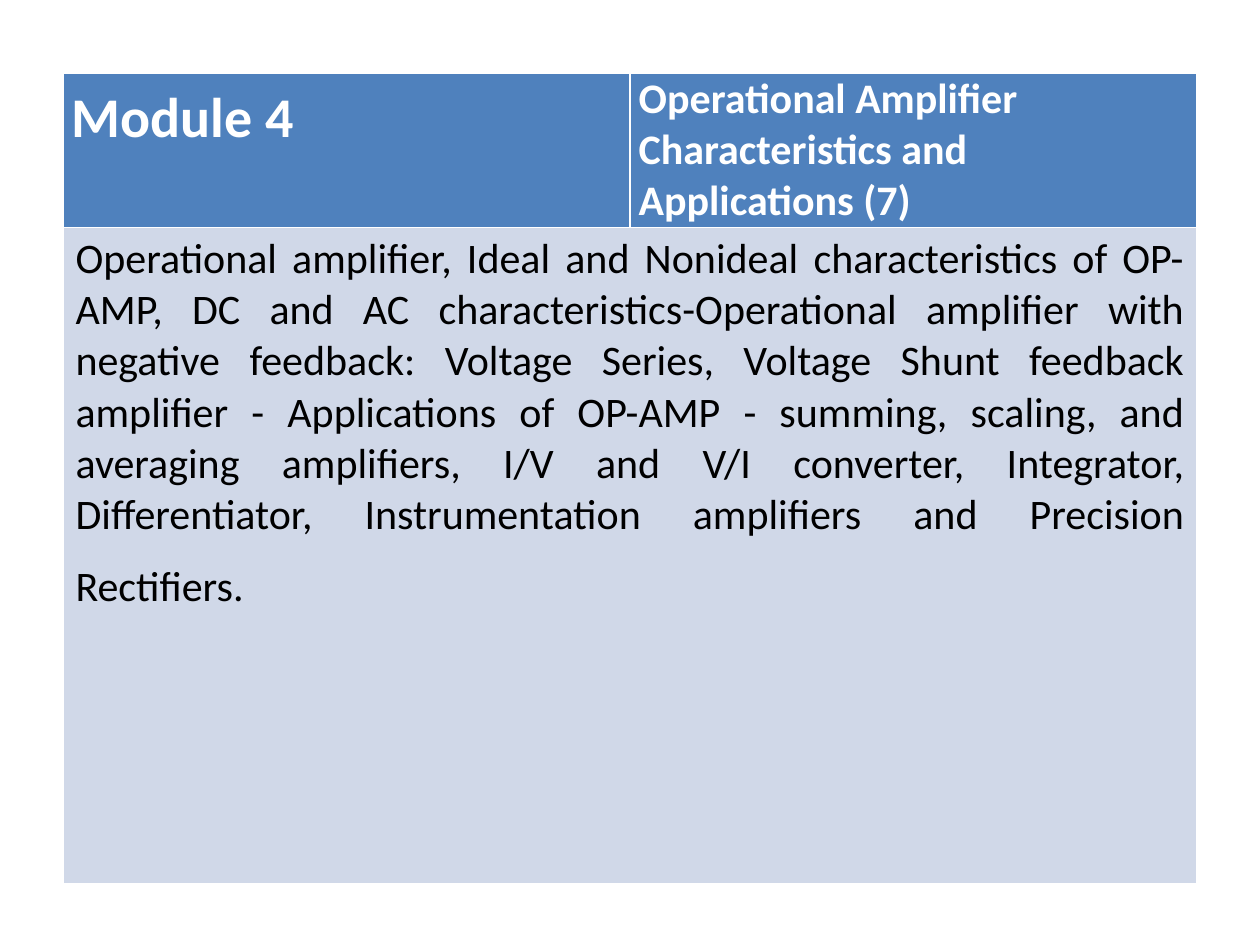
from dataclasses import dataclass

from pptx import Presentation
from pptx.dml.color import RGBColor
from pptx.enum.text import PP_ALIGN as Align
from pptx.oxml import parse_xml
from pptx.oxml.ns import nsdecls
from pptx.util import Pt


@dataclass(frozen=True)
class Theme:
    font: str = "Calibri"
    header: str = "4F81BD"
    body: str = "D0D8E8"
    white: str = "FFFFFF"
    black: str = "000000"
    title_size: int = 32
    text_size: int = 24
    closing_size: int = 36
    border: int = 1


THEME = Theme()
SYLLABUS = (
    "Operational amplifier, Ideal and Nonideal characteristics of OP-AMP, "
    "DC and AC characteristics-Operational amplifier with negative feedback: "
    "Voltage Series, Voltage Shunt feedback amplifier - Applications of OP-AMP - "
    "summing, scaling, and averaging amplifiers, I/V and V/I converter, Integrator, "
    "Differentiator, Instrumentation amplifiers and Precision Rectifiers."
)
HEADER_MARGINS = {
    "margin_left": Pt(5),
    "margin_right": Pt(5),
    "margin_top": 0,
    "margin_bottom": 0,
}


def set_attributes(target, values):
    for name, value in values.items():
        setattr(target, name, value)


def add_borders(cell):
    properties = cell._tc.get_or_add_tcPr()
    for side in ("lnL", "lnR", "lnT", "lnB"):
        properties.append(parse_xml(
            f'<a:{side} {nsdecls("a")} w="{Pt(THEME.border)}"><a:solidFill>'
            f'<a:srgbClr val="{THEME.white}"/></a:solidFill></a:{side}>'
        ))


def fill_cell(cell, runs, fill, color, bold, margins, paragraph_format):
    add_borders(cell)
    cell.fill.solid()
    cell.fill.fore_color.rgb = RGBColor.from_string(fill)
    set_attributes(cell, margins)
    paragraph = cell.text_frame.paragraphs[0]
    set_attributes(paragraph, paragraph_format)
    for text, size in runs:
        run = paragraph.add_run()
        run.text = text
        set_attributes(run.font, {"name": THEME.font, "size": Pt(size), "bold": bold})
        run.font.color.rgb = RGBColor.from_string(color)


def add_module_table(slide, left, top, width, header_height, body_height):
    frame = slide.shapes.add_table(
        2, 2, Pt(left), Pt(top), Pt(width), Pt(header_height + body_height)
    )
    table = frame.table
    for row, height in zip(table.rows, (header_height, body_height)):
        row.height = Pt(height)
    table.cell(1, 0).merge(table.cell(1, 1))

    headings = (
        ("Module 4", THEME.title_size, {"line_spacing": 1.15}),
        ("Operational Amplifier Characteristics and Applications (7)",
         THEME.text_size, {}),
    )
    for column, (text, size, paragraph_format) in enumerate(headings):
        fill_cell(table.cell(0, column), [(text, size)], THEME.header,
                  THEME.white, True, HEADER_MARGINS, paragraph_format)
    fill_cell(table.cell(1, 0),
              [(SYLLABUS, THEME.text_size), (" ", THEME.closing_size)],
              THEME.body, THEME.black, False, {}, {"alignment": Align.JUSTIFY})


def main():
    presentation = Presentation()
    set_attributes(presentation, {"slide_width": Pt(720), "slide_height": Pt(540)})
    slide = presentation.slides.add_slide(presentation.slide_layouts[6])
    add_module_table(slide, left=36, top=42, width=648,
                     header_height=87.5, body_height=375)
    presentation.save("out.pptx")


if __name__ == "__main__":
    main()
